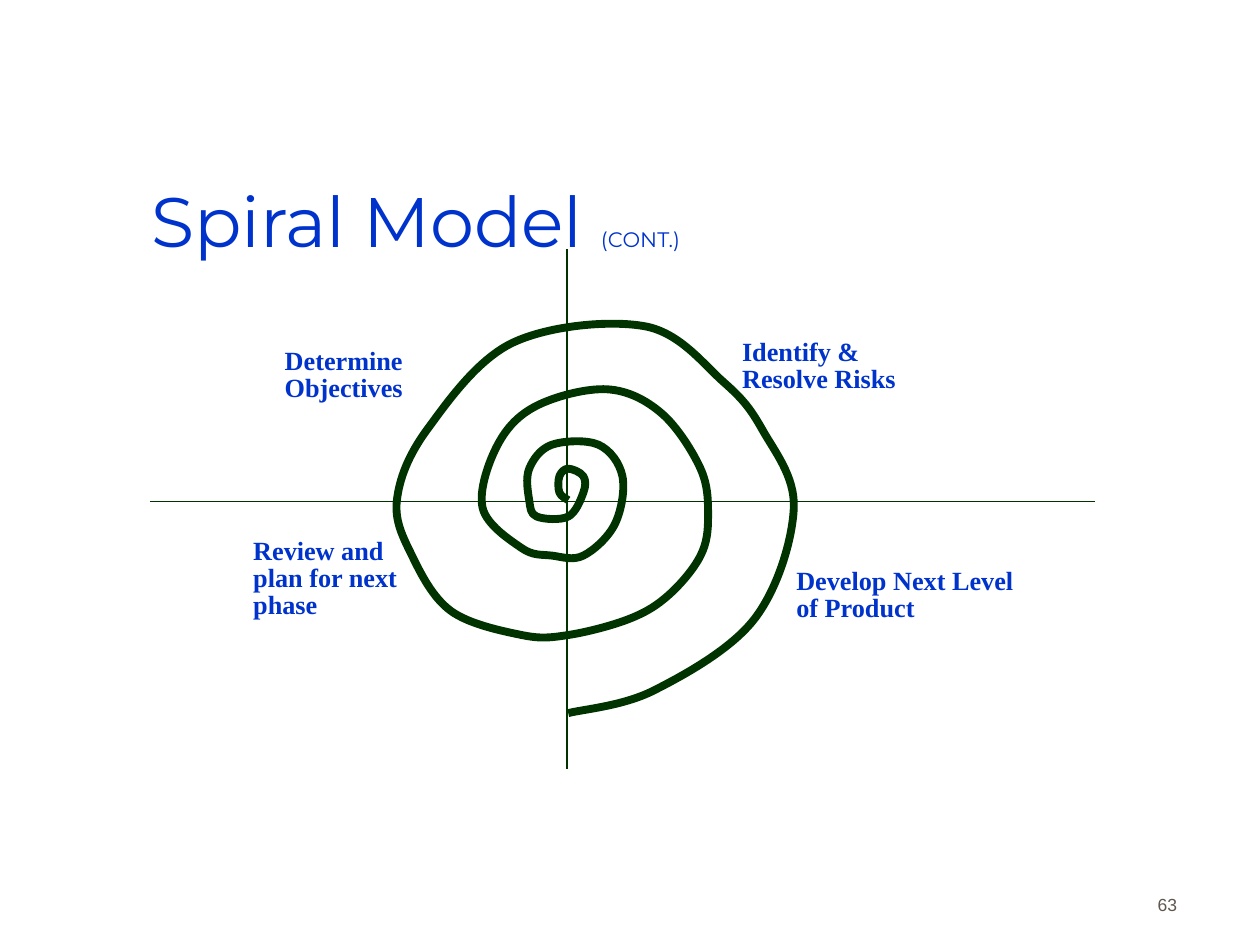
from lxml import etree
from pptx import Presentation
from pptx.dml.color import RGBColor
from pptx.enum import text as tx
from pptx.enum.shapes import MSO_CONNECTOR
from pptx.oxml.ns import qn
from pptx.util import Inches, Pt

# Content
TITLE = [("Spiral Model ", "title"), ("(CONT.)", "small")]
NUMBER = "63"
LABELS = [
    ("Determine Objectives", (2.25, 2.73, 1.25, 0.57)),
    ("Identify & Resolve Risks", (5.88, 2.66, 1.5, 0.57)),
    ("Develop Next Level of Product", (6.31, 4.48, 1.75, 0.57)),
    ("Review and plan for next phase", (2, 4.24, 1.5, 0.82)),
]
AXES = [(4.5, 1.98, 4.5, 6.1), (1.19, 3.98, 8.69, 3.98)]
# Points the spiral passes through, from the centre outwards
SPIRAL = [
    (4.51, 3.97), (4.44, 3.91), (4.44, 3.78), (4.51, 3.72), (4.63, 3.78),
    (4.63, 3.91), (4.51, 4.1), (4.26, 4.1), (4.2, 3.97), (4.2, 3.72),
    (4.38, 3.53), (4.75, 3.53), (4.94, 3.78), (4.88, 4.16), (4.63, 4.41),
    (4.38, 4.41), (4.14, 4.35), (3.83, 4.03), (3.95, 3.53), (4.26, 3.22),
    (4.82, 3.09), (5.25, 3.28), (5.56, 3.72), (5.62, 4.1), (5.56, 4.41),
    (5.31, 4.72), (5, 4.91), (4.51, 5.04), (4.14, 5.04), (3.58, 4.85),
    (3.27, 4.41), (3.15, 3.97), (3.39, 3.41), (4.07, 2.72), (5.12, 2.59),
    (5.74, 3.03), (6.05, 3.41), (6.3, 4.03), (5.99, 4.91), (5.19, 5.48),
    (4.51, 5.66),
]

BLUE = RGBColor.from_string("0033CC")
THEME = {
    "title": {"name": "Montserrat", "size": Pt(40), "color": BLUE},
    "small": {"name": "Montserrat", "size": Pt(12), "color": BLUE},
    "label": {"name": "Times New Roman", "size": Pt(15), "bold": True, "color": BLUE},
    "number": {"name": "Arial", "size": Pt(10), "color": RGBColor.from_string("5E574E")},
    "line": RGBColor.from_string("003300"),
    "thin": Pt(0.75),
    "thick": Pt(4.5),
}


def fill(shape, runs, anchor, align, inset, space=1.0):
    """Write styled runs into the one paragraph of a shape."""
    frame = shape.text_frame
    side, edge = map(Inches, inset)
    form = {"word_wrap": True, "auto_size": tx.MSO_AUTO_SIZE.NONE,
            "vertical_anchor": anchor, "margin_left": side,
            "margin_right": side, "margin_top": edge, "margin_bottom": edge}
    for key, val in form.items():
        setattr(frame, key, val)
    para = frame.paragraphs[0]
    para.alignment, para.line_spacing = align, space
    para.space_before = Pt(0)
    for words, style in runs:
        run = para.add_run()
        run.text = words
        for key, val in THEME[style].items():
            if key == "color":
                run.font.color.rgb = val
            else:
                setattr(run.font, key, val)


def stroke(shape, width):
    shape.line.color.rgb = THEME["line"]
    shape.line.width = width


def curve(shape):
    """Turn straight steps into Bezier curves, tangent to the neighbours."""
    track = shape._element.find(".//" + qn("a:path"))
    knots = [(int(p.get("x")), int(p.get("y"))) for p in track.iter(qn("a:pt"))]
    ends = [knots[0], *knots, knots[-1]]
    for i, step in enumerate(track.findall(qn("a:lnTo"))):
        a, b, c, d = ends[i:i + 4]
        out = [q + (r - p) / 6 for p, q, r in zip(a, b, c)]
        back = [q - (r - p) / 6 for p, q, r in zip(b, c, d)]
        bend = etree.Element(qn("a:cubicBezTo"))
        for x, y in (out, back, c):
            etree.SubElement(bend, qn("a:pt"), x=str(round(x)), y=str(round(y)))
        track.replace(step, bend)


def main():
    deck = Presentation()
    deck.slide_width, deck.slide_height = Inches(10), Inches(7.5)
    slide = deck.slides.add_slide(deck.slide_layouts[5])
    parts = slide.shapes
    left, mid = tx.PP_ALIGN.LEFT, tx.MSO_ANCHOR.MIDDLE

    # Title
    head = parts.title
    head.left, head.top, head.width, head.height = map(Inches, (1.19, 1.27, 6.37, 0.94))
    fill(head, TITLE, mid, left, (0.01, 0.04))

    # Slide number
    box = parts.add_textbox(*map(Inches, (7.36, 6.81, 2.08, 0.5)))
    fill(box, [(NUMBER, "number")], tx.MSO_ANCHOR.BOTTOM, tx.PP_ALIGN.RIGHT, (0.1, 0.05))

    # Axes
    for ends in AXES:
        axis = parts.add_connector(MSO_CONNECTOR.STRAIGHT, *map(Inches, ends))
        stroke(axis, THEME["thin"])
        etree.SubElement(axis._element.spPr, qn("a:effectLst"))

    # Spiral
    knots = [(Inches(x), Inches(y)) for x, y in SPIRAL]
    build = parts.build_freeform(*knots[0])
    build.add_line_segments(knots[1:], close=False)
    spiral = build.convert_to_shape()
    spiral.fill.background()
    spiral.shadow.inherit = False
    stroke(spiral, THEME["thick"])
    curve(spiral)

    # Quadrant labels
    for words, place in LABELS:
        box = parts.add_textbox(*map(Inches, place))
        fill(box, [(words, "label")], tx.MSO_ANCHOR.TOP, left, (0.01, 0.04), 0.85)

    deck.save("out.pptx")


if __name__ == "__main__":
    main()
